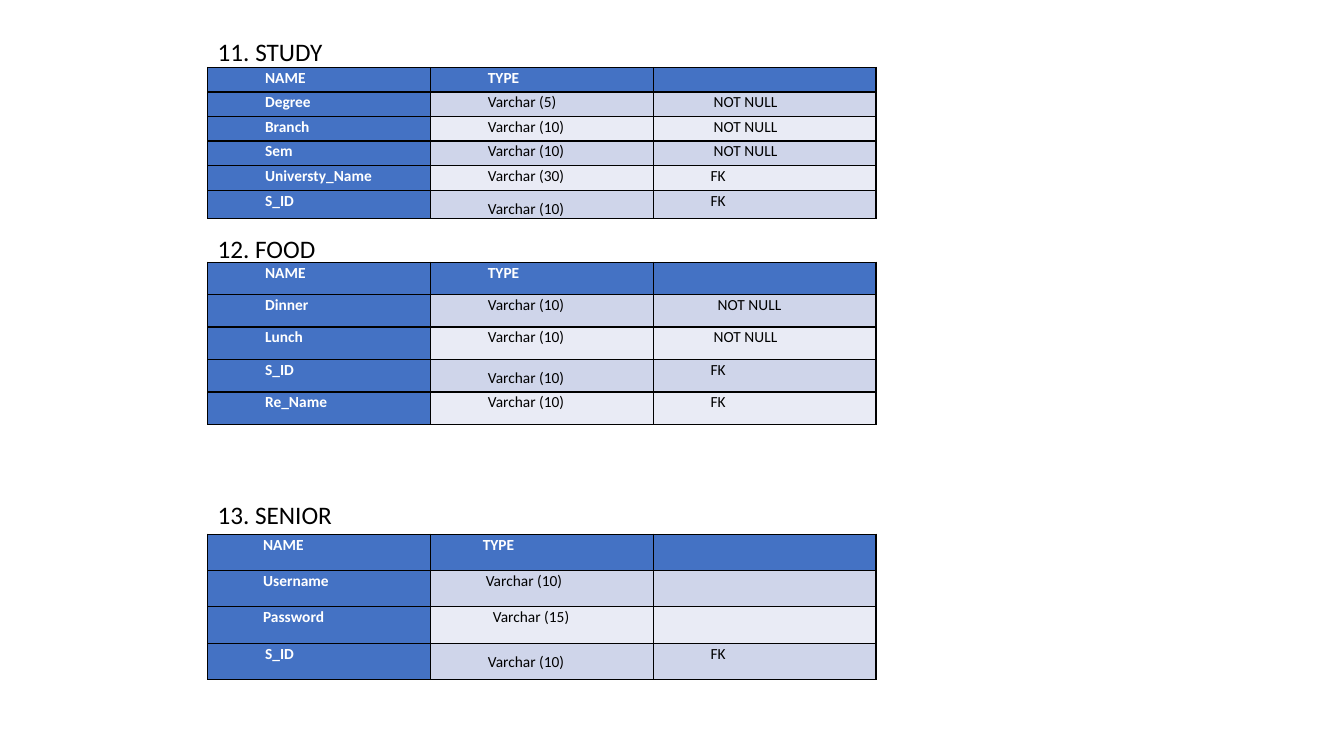
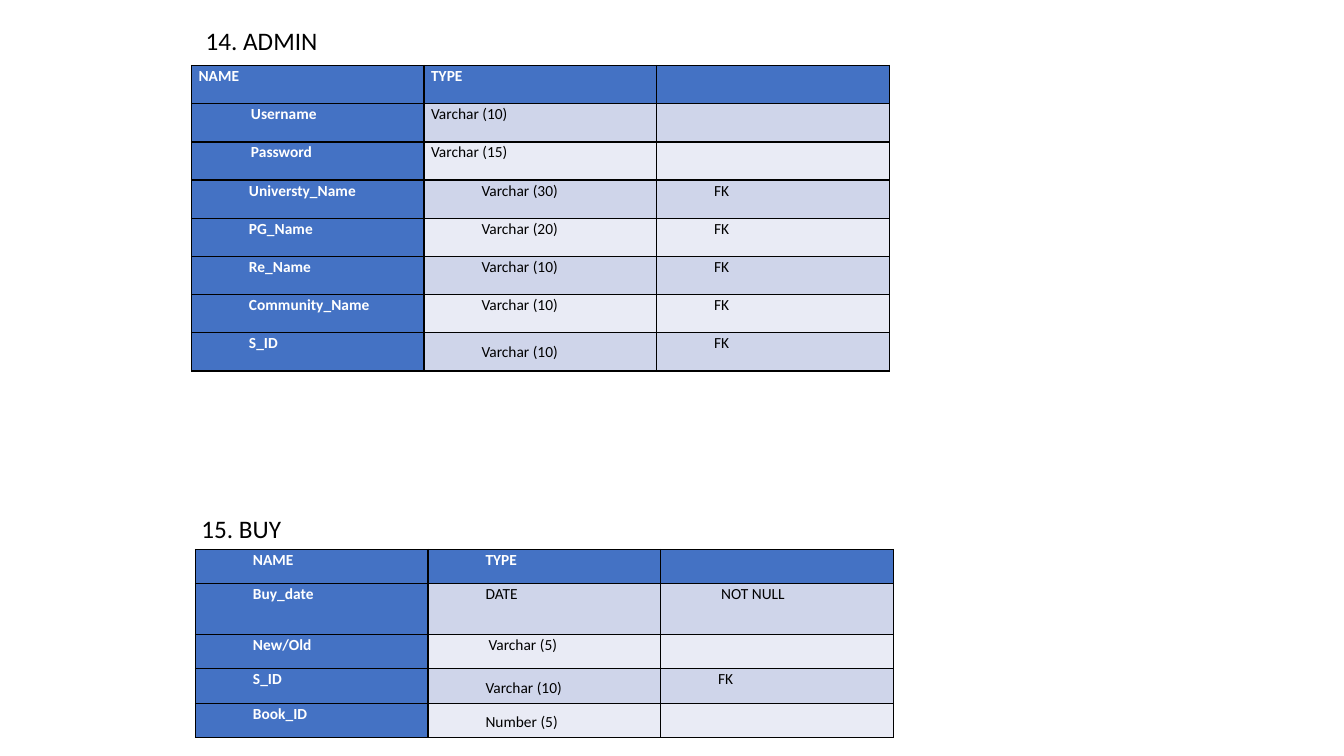
from lxml.etree import SubElement as Sub
from pptx import Presentation
from pptx.dml.color import RGBColor as RGB
from pptx.enum.text import MSO_ANCHOR as Anchor, MSO_AUTO_SIZE as Auto, PP_ALIGN as Align
from pptx.oxml.ns import qn
from pptx.util import Inches, Pt

# Shared look
FONT = "Calibri"
BLUE = RGB(0x44, 0x72, 0xC4)
DARK = RGB(0xCF, 0xD5, 0xEA)
LIGHT = RGB(0xE9, 0xEB, 0xF5)
WHITE = RGB(0xFF, 0xFF, 0xFF)
BLACK = RGB(0, 0, 0)
STEP = 0.5   # usual cell indent, inches
PAD = 0.07   # cell side inset, inches
HEAD = ("NAME", "TYPE", "")

deck = Presentation()
deck.slide_width, deck.slide_height = Inches(13.33), Inches(7.5)
COL = deck.slide_width / 100    # one percent of the width
ROW = deck.slide_height / 100   # one percent of the height

# Each part: heading, its (x, y), table (x, y, w, h), rows, tall rows.
# Places are percents of the slide; a cell is a text or (text, indent).
study = ("11. STUDY", (15.45, 4.13), (15.45, 8.93, 49.73, 19.47), [
    HEAD,
    ("Degree", "Varchar (5)", ("NOT NULL", 0.53)),
    ("Branch", "Varchar (10)", ("NOT NULL", 0.53)),
    ("Sem", "Varchar (10)", ("NOT NULL", 0.53)),
    ("Universty_Name", "Varchar (30)", "FK"),
    ("S_ID", "Varchar (10)", "FK"),
], {})
food = ("12. FOOD", (15.45, 30.27), (15.45, 34.67, 49.73, 21.47), [
    HEAD,
    ("Dinner", "Varchar (10)", ("NOT NULL", 0.57)),
    ("Lunch", "Varchar (10)", ("NOT NULL", 0.53)),
    ("S_ID", "Varchar (10)", "FK"),
    ("Re_Name", "Varchar (10)", "FK"),
], {})
senior = ("13. SENIOR", (15.45, 65.33), (15.45, 70.67, 49.73, 19.2), [
    (("NAME", 0.48), ("TYPE", 0.45), ""),
    (("Username", 0.48), ("Varchar (10)", 0.48), ""),
    (("Password", 0.48), ("Varchar (15)", 0.55), ""),
    ("S_ID", "Varchar (10)", "FK"),
], {})
admin = ("14. ADMIN", (14.55, 2.67), (14.25, 8.67, 51.91, 40.4), [
    (("NAME", 0), ("TYPE", 0), ""),
    (("Username", 0.52), ("Varchar (10)", 0), ""),
    (("Password", 0.52), ("Varchar (15)", 0), ""),
    ("Universty_Name", "Varchar (30)", "FK"),
    ("PG_Name", "Varchar (20)", "FK"),
    ("Re_Name", "Varchar (10)", "FK"),
    ("Community_Name", "Varchar (10)", "FK"),
    ("S_ID", "Varchar (10)", "FK"),
], {})
buy = ("15. BUY", (14.25, 67.2), (14.55, 72.67, 51.91, 24.93), [
    HEAD,
    ("Buy_date", "DATE", ("NOT NULL", 0.53)),
    ("New/Old", ("Varchar (5)", 0.53), ""),
    ("S_ID", "Varchar (10)", "FK"),
    ("Book_ID", "Number (5)", ""),
], {1: 6.67})


def label(box, text, x, y):
    """Place and style a section heading."""
    box.left, box.top = int(x * COL), int(y * ROW)
    box.width, box.height = int(18 * COL), int(5.33 * ROW)
    frame = box.text_frame
    frame.text = text
    frame.word_wrap, frame.auto_size = True, Auto.NONE
    frame.vertical_anchor = Anchor.TOP
    para = frame.paragraphs[0]
    para.alignment = Align.LEFT
    font = para.runs[0].font
    font.name, font.size, font.color.rgb = FONT, Pt(18), BLACK


def style(cell, item, fill, bold, lead):
    """Write one cell with its borders, fill and indent."""
    text, indent = item if isinstance(item, tuple) else (item, STEP)
    cell.margin_left = cell.margin_right = Inches(PAD)
    cell.margin_top = cell.margin_bottom = 0
    props = cell._tc.get_or_add_tcPr()
    for side in ("a:lnL", "a:lnR", "a:lnT", "a:lnB"):
        line = Sub(props, qn(side), w=str(Pt(1)))
        Sub(Sub(line, qn("a:solidFill")), qn("a:srgbClr"), val=str(BLACK))
    cell.fill.solid()
    cell.fill.fore_color.rgb = fill
    para = cell.text_frame.paragraphs[0]
    para.line_spacing = lead
    if not text:  # an empty cell keeps the small size, so its row stays low
        Sub(para._p, qn("a:endParaRPr"), sz="1100")
        return
    para.text = text
    para._p.get_or_add_pPr().set("marL", str(Inches(indent)))
    font = para.runs[0].font
    font.name, font.size, font.bold = FONT, Pt(11), bold
    font.color.rgb = WHITE if bold else BLACK


for parts in ((study, food, senior), (admin, buy)):
    slide = deck.slides.add_slide(deck.slide_layouts[5])
    for n, (name, spot, area, rows, tall) in enumerate(parts):
        # Table
        x, y, w, h = area
        grid = slide.shapes.add_table(
            len(rows), 3, int(x * COL), int(y * ROW), int(w * COL), int(h * ROW)).table
        even = (h - sum(tall.values())) / (len(rows) - len(tall))
        for r, row in enumerate(rows):
            grid.rows[r].height = int(tall.get(r, even) * ROW)
            for c, item in enumerate(row):
                bold = r == 0 or c == 0
                fill = BLUE if bold else DARK if r % 2 else LIGHT
                low = c == 1 and row[0] in ("S_ID", "Book_ID")
                style(grid.cell(r, c), item, fill, bold, 1.5 if low else 1.06)
        # Heading: the first one is the slide's title
        box = slide.shapes.add_textbox(0, 0, 0, 0) if n else slide.shapes.title
        label(box, name, *spot)

deck.save("out.pptx")
